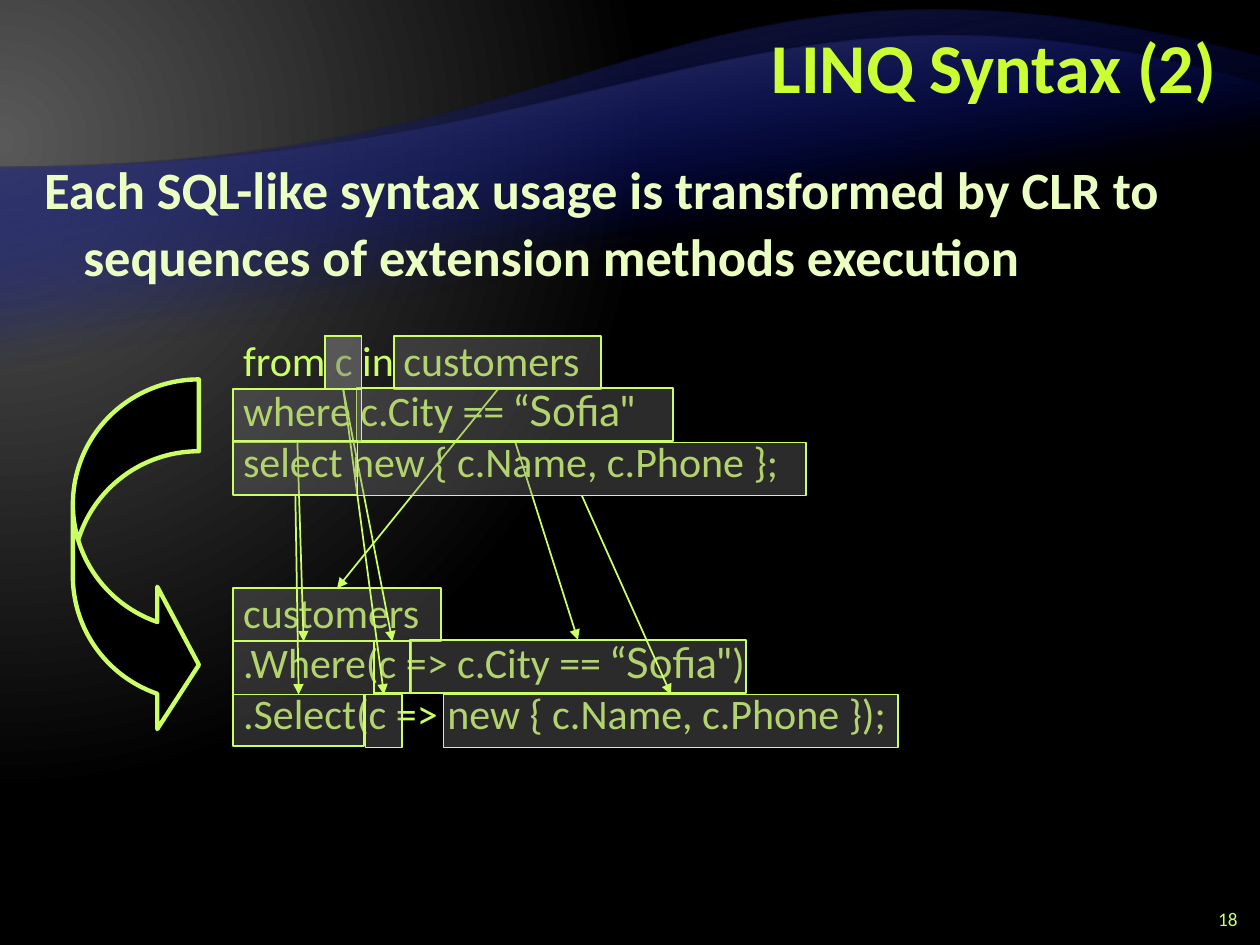
from dataclasses import dataclass

from lxml.etree import SubElement
from pptx import Presentation
from pptx.dml.color import RGBColor
from pptx.enum.shapes import MSO_CONNECTOR, MSO_SHAPE
from pptx.enum.text import MSO_ANCHOR, MSO_AUTO_SIZE, PP_ALIGN
from pptx.oxml import parse_xml
from pptx.oxml.ns import nsdecls, qn
from pptx.util import Cm, Pt

LIME = RGBColor(0xCC, 0xFF, 0x66)
TITLE_LIME = RGBColor(0xCC, 0xFF, 0x33)
PALE_LIME = RGBColor(0xEB, 0xFF, 0xC2)
GRAY = RGBColor(0x80, 0x80, 0x80)
DARK_GRAY = RGBColor(0x59, 0x59, 0x59)
CHARCOAL = RGBColor(0x26, 0x26, 0x26)
BLUE = RGBColor(0x00, 0x0D, 0x9E)
BLACK = RGBColor(0x00, 0x00, 0x00)

SLIDE_WIDTH, SLIDE_HEIGHT = 25.4, 19.05
CURVE_STEPS = 40
BOTTOM, TOP = 2, 0


@dataclass(frozen=True)
class Area:
    """A rectangle in centimetres."""
    left: float
    top: float
    width: float
    height: float

    def lengths(self):
        return Cm(self.left), Cm(self.top), Cm(self.width), Cm(self.height)


@dataclass(frozen=True)
class Span:
    text: str
    font: str = "Calibri"


@dataclass(frozen=True)
class Translation:
    """A part of the query and the part of the method call it becomes."""
    query: Area
    method: Area


@dataclass(frozen=True)
class Wave:
    """A panel whose upper edge is a cubic curve across the slide."""
    bottom: float
    curve: tuple
    color: RGBColor


WAVES = (
    Wave(16.59, ((0, 3.38), (12.7, 3.38), (13.56, -1.9), (25.4, 1.14)), CHARCOAL),
    Wave(14.15, ((0, 3.38), (12.7, 3.38), (15.19, -1.24), (25.4, 1.7)), DARK_GRAY),
)

QUERY_VARIABLE = Area(6.55, 6.78, 0.74, 1.07)
TRANSLATIONS = (
    Translation(Area(7.95, 6.78, 4.17, 1.07), Area(4.7, 11.86, 4.19, 1.07)),
    Translation(QUERY_VARIABLE, Area(7.54, 12.93, 0.74, 1.04)),
    Translation(Area(7.19, 7.82, 6.38, 1.07), Area(8.26, 12.9, 6.78, 1.07)),
    Translation(QUERY_VARIABLE, Area(7.37, 14, 0.74, 1.07)),
    Translation(Area(7.21, 8.92, 9.04, 1.07), Area(8.94, 14, 9.17, 1.07)),
    Translation(Area(4.7, 7.85, 2.59, 1.07), Area(4.7, 12.93, 2.84, 1.07)),
    Translation(Area(4.7, 8.89, 2.51, 1.09), Area(4.7, 14, 2.64, 1.04)),
)

CITY = Span("“Sofia\"", "Lato")
QUERY_LINES = (
    (Span("from c in customers"),),
    (Span("where c.City == "), CITY),
    (Span("select new { c.Name, c.Phone };"),),
)
METHOD_LINES = (
    (Span("customers"),),
    (Span(".Where(c => c.City == "), CITY, Span(")")),
    (Span(".Select(c => new { c.Name, c.Phone });"),),
)


def set_gradient(properties, stops: tuple, direction: str) -> None:
    """Replace the solid fill by a gradient of (percent, colour, opacity) stops."""
    stop_xml = "".join(
        f'<a:gs pos="{percent * 1000}"><a:srgbClr val="{color}">'
        f'<a:alpha val="{opacity * 1000}"/></a:srgbClr></a:gs>'
        for percent, color, opacity in stops)
    gradient = parse_xml(f'<a:gradFill {nsdecls("a")} rotWithShape="1">'
                         f'<a:gsLst>{stop_xml}</a:gsLst>{direction}</a:gradFill>')
    properties.replace(properties.find(qn("a:solidFill")), gradient)


def draw_background(slide) -> None:
    slide.background.fill.solid()
    set_gradient(
        slide.element.find(f".//{qn('p:bgPr')}"),
        ((0, DARK_GRAY, 100), (83, BLACK, 100)),
        '<a:path path="circle">'
        '<a:fillToRect l="20000" t="30000" r="135000" b="100000"/></a:path>')


def curve_point(curve: tuple, share: float) -> tuple:
    rest = 1 - share
    weights = (rest ** 3, 3 * rest ** 2 * share, 3 * rest * share ** 2, share ** 3)
    return tuple(sum(weight * point[axis] for weight, point in zip(weights, curve))
                 for axis in (0, 1))


def draw_wave(slide, wave: Wave) -> None:
    """Draw the panel turned by 180 degrees, so that its gradient ends at the top."""
    points = [curve_point(wave.curve, step / CURVE_STEPS)
              for step in range(CURVE_STEPS + 1)]
    points += [(SLIDE_WIDTH, wave.bottom), (0, wave.bottom)]
    highest = min(y for _, y in points)
    turned = [(Cm(SLIDE_WIDTH - x), Cm(highest + wave.bottom - y)) for x, y in points]
    builder = slide.shapes.build_freeform(*turned[0])
    builder.add_line_segments(turned[1:], close=True)
    panel = builder.convert_to_shape()
    panel.rotation = 180
    panel.shadow.inherit = False
    panel.line.fill.background()
    panel.fill.solid()
    set_gradient(panel.element.spPr, ((65, BLUE, 0), (100, wave.color, 100)),
                 '<a:lin ang="4800000" scaled="0"/>')


def add_text(slide, area: Area, lines: tuple, size: float, color: RGBColor,
             bold: bool = False, frame_format: dict | None = None,
             para_format: dict | None = None, gap: float = 0):
    """Add a text box with one paragraph per line and a gap in points between them."""
    frame = slide.shapes.add_textbox(*area.lengths()).text_frame
    for name, value in ({"word_wrap": True} | (frame_format or {})).items():
        setattr(frame, name, value)
    for index, spans in enumerate(lines):
        para = frame.paragraphs[0] if index == 0 else frame.add_paragraph()
        for name, value in (para_format or {}).items():
            setattr(para, name, value)
        if index:
            para.space_before = Pt(gap)
        for span in spans:
            run = para.add_run()
            run.text = span.text
            font_format = {"name": span.font, "size": Pt(size), "bold": bold}
            for name, value in font_format.items():
                setattr(run.font, name, value)
            run.font.color.rgb = color
    return frame


def add_outlined_shape(slide, kind, area: Area, fill: RGBColor, width: float):
    shape = slide.shapes.add_shape(kind, *area.lengths())
    shape.shadow.inherit = False
    shape.fill.solid()
    shape.fill.fore_color.rgb = fill
    shape.line.color.rgb = LIME
    shape.line.width = Pt(width)
    return shape


def add_highlight(slide, area: Area):
    box = add_outlined_shape(slide, MSO_SHAPE.RECTANGLE, area, GRAY, 1)
    color = box.element.spPr.find(f"{qn('a:solidFill')}/{qn('a:srgbClr')}")
    SubElement(color, qn("a:alpha"), val="34000")
    return box


def draw_translation(slide, translation: Translation) -> None:
    query_box = add_highlight(slide, translation.query)
    method_box = add_highlight(slide, translation.method)
    arrow = slide.shapes.add_connector(MSO_CONNECTOR.STRAIGHT, 0, 0, 0, 0)
    arrow.begin_connect(query_box, BOTTOM)
    arrow.end_connect(method_box, TOP)
    arrow.line.color.rgb = LIME
    arrow.line.width = Pt(1)
    SubElement(arrow.line._get_or_add_ln(), qn("a:tailEnd"), type="triangle")
    SubElement(arrow.element.spPr, qn("a:effectLst"))


def main() -> None:
    deck = Presentation()
    deck.slide_width, deck.slide_height = Cm(SLIDE_WIDTH), Cm(SLIDE_HEIGHT)
    slide = deck.slides.add_slide(deck.slide_layouts[6])
    draw_background(slide)
    for wave in WAVES:
        draw_wave(slide, wave)

    middle = {"vertical_anchor": MSO_ANCHOR.MIDDLE}
    add_text(slide, Area(5.08, 0.2, 19.69, 2.54), ((Span("LINQ Syntax (2)"),),), 40,
             TITLE_LIME, True, middle,
             {"alignment": PP_ALIGN.RIGHT, "line_spacing": Pt(40)})
    body = add_text(slide, Area(0.64, 2.97, 24.13, 4.75), ((Span(
        "Each SQL-like syntax usage is transformed by CLR to "
        "sequences of extension methods execution"),),), 30, PALE_LIME, True,
        para_format={"line_spacing": Pt(38), "space_after": Pt(6)})
    indent = body.paragraphs[0]._p.get_or_add_pPr()
    indent.set("marL", str(Cm(0.79)))
    indent.set("indent", str(-Cm(0.79)))
    add_text(slide, Area(23.93, 18.21, 1.27, 0.64), ((Span("18"),),), 11, LIME,
             frame_format=middle, para_format={"alignment": PP_ALIGN.RIGHT})

    code_frame = {"word_wrap": False, "auto_size": MSO_AUTO_SIZE.SHAPE_TO_FIT_TEXT}
    for area, lines in ((Area(4.65, 6.78, 11.53, 3.3), QUERY_LINES),
                        (Area(4.65, 11.86, 13.79, 3.3), METHOD_LINES)):
        add_text(slide, area, lines, 24, LIME, frame_format=code_frame,
                 para_format={"line_spacing": 0.85}, gap=4.2)

    for translation in TRANSLATIONS:
        draw_translation(slide, translation)
    turn = add_outlined_shape(slide, MSO_SHAPE.CURVED_RIGHT_ARROW,
                              Area(1.47, 7.65, 2.54, 7.19), BLACK, 2.5)
    for index, value in enumerate((0.57, 1.13, 0.33)):
        turn.adjustments[index] = value
    deck.save("out.pptx")


if __name__ == "__main__":
    main()
